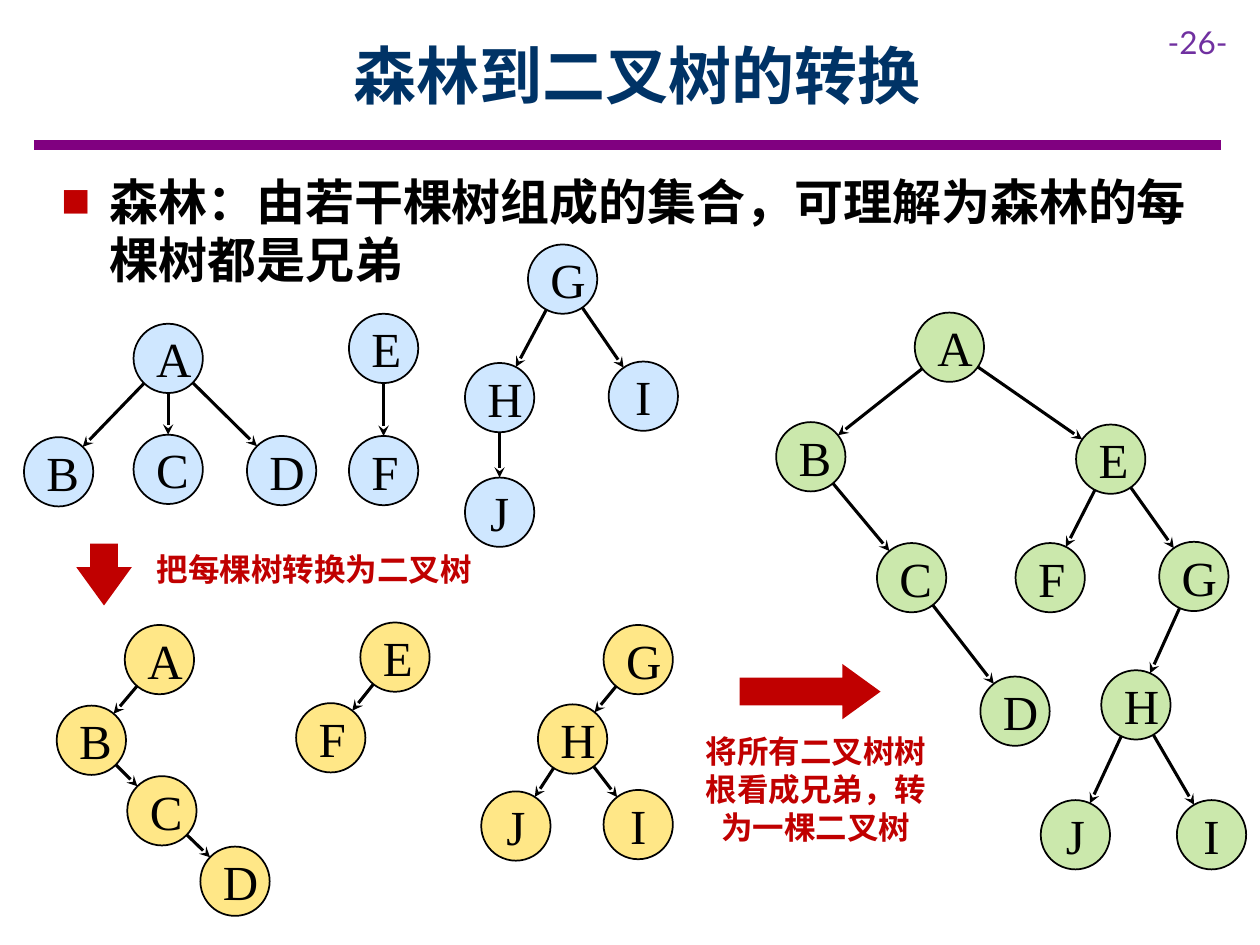
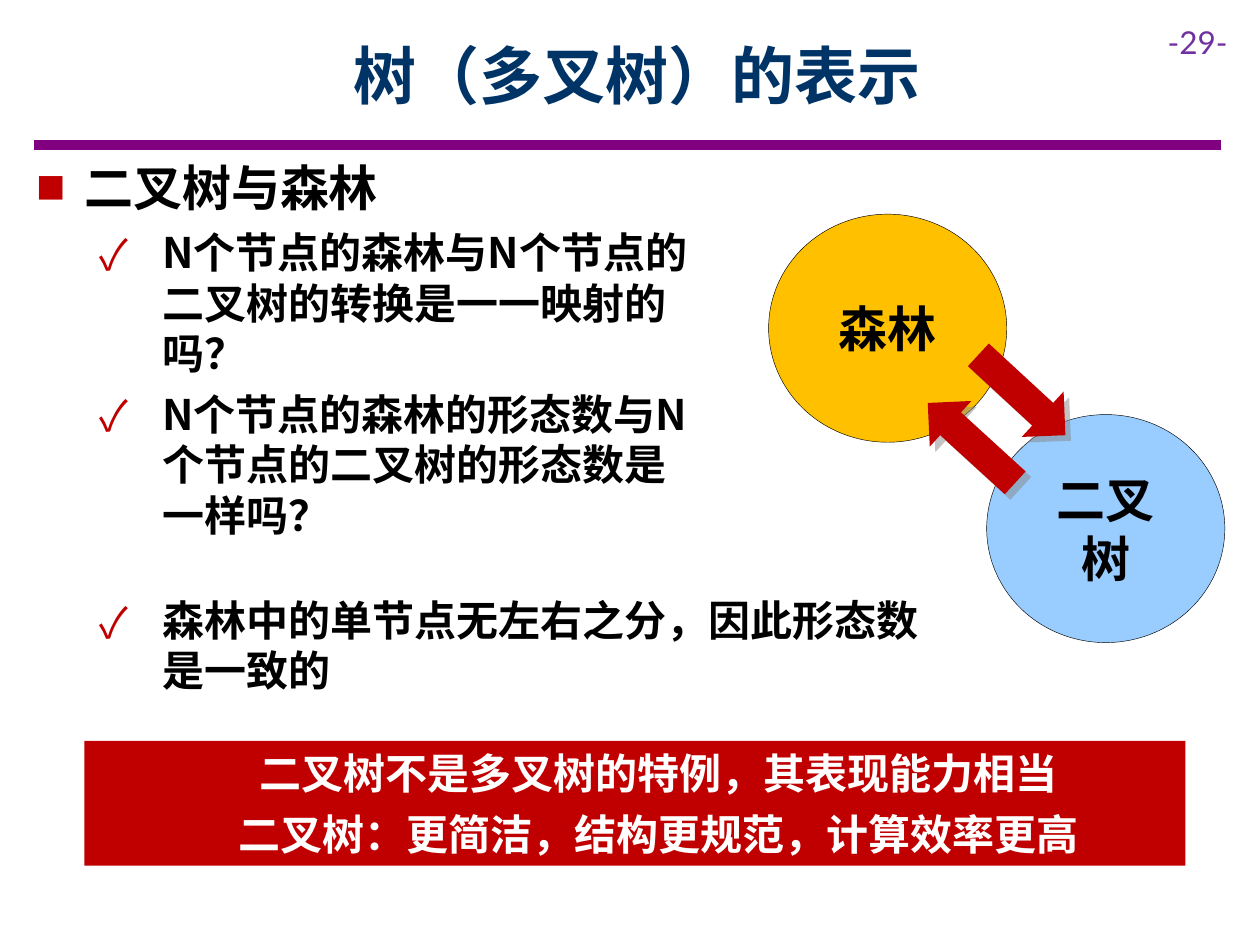
import math

import pptx
import pptx.dml.color
import pptx.enum.shapes
import pptx.enum.text
import pptx.oxml
import pptx.oxml.ns
import pptx.util
from lxml import etree

Pt = pptx.util.Pt
qn = pptx.oxml.ns.qn
SHAPE = pptx.enum.shapes.MSO_SHAPE
ALIGN = pptx.enum.text.PP_ALIGN
ANCHOR = pptx.enum.text.MSO_ANCHOR

COLORS = {
    "title": "003366", "rule": "800080", "number": "7030A0", "accent": "C00000",
    "text": "000000", "light": "FFFFFF", "blue": "99CCFF", "yellow": "FFCC00",
    "green": "92D050", "gold": "FFC000", "shadow": "888888",
}
CJK, LATIN, NODE_FONT = "Noto Sans CJK SC", "Lato", "Times New Roman"
NODE = 39.6
BULLETS = [("■", 27.4, -27.4, 60), ("✓", 72, -36, 100)]

FOREST = {
    "A": (62.6, 45.3), "B": (0, 110.1), "C": (62.6, 108.7), "D": (127.4, 109.4),
    "E": (185.7, 39.6), "F": (185.7, 109.4),
    "G": (288, 0), "H": (252, 67.7), "I": (334.1, 66.9), "J": (252, 133.2),
}
BINARY_TREES = {
    "A": (38.9, 1.4), "B": (0, 47.5), "C": (40.3, 87.8), "D": (82.1, 128.1),
    "E": (173.5, 0), "F": (136.8, 46.1),
    "G": (312.5, 1.4), "H": (275, 46.8), "I": (312.5, 95.7), "J": (242.6, 96.5),
}
JOINED_TREE = {
    "A": (79.2, 0), "B": (0, 62.6), "C": (57.6, 131.7), "D": (116.7, 208),
    "E": (171.4, 64), "F": (136.8, 131.7),
    "G": (218.9, 131), "H": (185.8, 204.4), "I": (229, 278.6), "J": (151.2, 278.6),
}


def rgb(name):
    return pptx.dml.color.RGBColor.from_string(COLORS[name])


def add_xml(parent, tag, **attrs):
    return etree.SubElement(parent, qn(tag), attrs)


def style(p, size, color, font=CJK, bold=False, align=None):
    p.alignment = align
    p.font.size, p.font.bold, p.font.name = Pt(size), bold, font
    p.font.color.rgb = rgb(color)
    add_xml(p._p.pPr.find(qn("a:defRPr")), "a:ea", typeface=font)


def bullet(p, level):
    char, margin, indent, percent = BULLETS[level]
    p.level = level
    pPr = p._p.get_or_add_pPr()
    pPr.set("marL", str(Pt(margin)))
    pPr.set("indent", str(Pt(indent)))
    add_xml(add_xml(pPr, "a:buClr"), "a:srgbClr", val=COLORS["accent"])
    add_xml(pPr, "a:buSzPct", val=str(percent * 1000))
    add_xml(pPr, "a:buFont", typeface=CJK)
    add_xml(pPr, "a:buChar", char=char)


def paragraphs(tf, texts):
    tf.word_wrap = True
    for i, text in enumerate(texts):
        p = tf.paragraphs[0] if i == 0 else tf.add_paragraph()
        p.text = text
        yield p


def text_box(s, box):
    return s.shapes.add_textbox(*map(Pt, box)).text_frame


def outline(s, box, items):
    levels, texts = zip(*items)
    for level, p in zip(levels, paragraphs(text_box(s, box), texts)):
        size = 24 if level else 28
        p.line_spacing, p.space_after = Pt(size * 1.2), Pt(6)
        bullet(p, level)
        style(p, size, "text", bold=True)


def caption(s, box, text):
    for p in paragraphs(text_box(s, box), [text]):
        p.line_spacing = Pt(21.6)
        style(p, 18, "accent", bold=True, align=ALIGN.CENTER)


def shape(shapes, kind, box, fill, line=None):
    sp = shapes.add_shape(kind, *map(Pt, box))
    sp.shadow.inherit = False
    sp.fill.solid()
    sp.fill.fore_color.rgb = rgb(fill)
    if line:
        sp.line.color.rgb = rgb("text")
        sp.line.width = Pt(line)
    else:
        sp.line.fill.background()
    return sp


def ellipse(shapes, box, text, fill, line, font, bold):
    sp = shape(shapes, SHAPE.OVAL, box, fill, line)
    tf = sp.text_frame
    tf.vertical_anchor = ANCHOR.MIDDLE
    tf.margin_left = tf.margin_right = tf.margin_top = tf.margin_bottom = Pt(7.2)
    for p in paragraphs(tf, [text]):
        if bold:
            p.line_spacing = Pt(33.6)
        style(p, 28, "text", font, bold, ALIGN.CENTER)
    return sp


def straight(shapes, start, end, color, width):
    c = shapes.add_connector(pptx.enum.shapes.MSO_CONNECTOR.STRAIGHT,
                             *map(Pt, (*start, *end)))
    c.line.color.rgb = rgb(color)
    c.line.width = Pt(width)
    add_xml(c._element.spPr, "a:effectLst")
    return c


def block_arrow(shapes, box, rotation=0, head=0.5):
    sp = shape(shapes, SHAPE.RIGHT_ARROW, box, "accent")
    sp.rotation = rotation
    sp.adjustments[1] = head
    return sp


def cast_shadow(sp):
    effects = sp._element.spPr.find(qn("a:effectLst"))
    shadow = add_xml(effects, "a:outerShdw", blurRad="0", dist=str(Pt(4.5)),
                     dir=str(45 * 60000), algn="ctr", rotWithShape="0")
    color = add_xml(shadow, "a:srgbClr", val=COLORS["shadow"])
    add_xml(color, "a:alpha", val="50000")


def tree(s, left, top, fill, nodes, edges):
    shapes = s.shapes.add_group_shape().shapes
    radius = NODE / 2
    centers = {k: (left + x + radius, top + y + radius) for k, (x, y) in nodes.items()}
    for parent, child in edges.split():
        (x1, y1), (x2, y2) = centers[parent], centers[child]
        length = math.hypot(x2 - x1, y2 - y1)
        dx, dy = (x2 - x1) / length * radius, (y2 - y1) / length * radius
        c = straight(shapes, (x1 + dx, y1 + dy), (x2 - dx, y2 - dy), "text", 1.75)
        add_xml(c.line._get_or_add_ln(), "a:tailEnd", type="stealth")
    for name, (x, y) in centers.items():
        sp = ellipse(shapes, (x - radius, y - radius, NODE, NODE), name, fill, 1,
                     NODE_FONT, False)
        color = sp._element.spPr.find(qn("a:solidFill"))[0]
        add_xml(color, "a:alpha", val="47000")


def conversion_cycle(s, left, top):
    shapes = s.shapes.add_group_shape().shapes
    for x, y, text, fill in [(124.6, 114.5, "二叉树", "blue"), (0, 0, "森林", "gold")]:
        ellipse(shapes, (left + x, top + y, 136.1, 130.3), text, fill, 0.25, CJK, True)
    for x, y, rotation in [(110.9, 85.7, 42.7), (82.1, 113, 222.4)]:
        cast_shadow(block_arrow(shapes, (left + x, top + y, 67.7, 35.3), rotation))


def conclusion(s, box, lines):
    tf = shape(s.shapes, SHAPE.RECTANGLE, box, "accent").text_frame
    tf.vertical_anchor = ANCHOR.TOP
    for p in paragraphs(tf, lines):
        p.line_spacing, p.space_after = Pt(28.8), Pt(6)
        p._p.get_or_add_pPr().set("marL", str(Pt(27.4)))
        style(p, 24, "light", bold=True, align=ALIGN.CENTER)


def base_slide(prs, title, number):
    s = prs.slides.add_slide(prs.slide_layouts[5])
    straight(s.shapes, (19.4, 82.8), (697.7, 82.8), "rule", 6)
    for p in paragraphs(text_box(s, (660.2, 9.4, 59.8, 28.8)), [f"-{number}-"]):
        style(p, 18, "number", LATIN)
    sp = s.shapes.title
    sp.left, sp.top, sp.width, sp.height = map(Pt, (64.8, 6.5, 598.3, 72))
    sp.text_frame.vertical_anchor = ANCHOR.MIDDLE
    for p in paragraphs(sp.text_frame, [title]):
        style(p, 36, "title", bold=True, align=ALIGN.CENTER)
    return s


def forest_slide(prs):
    s = base_slide(prs, "森林到二叉树的转换", 26)
    outline(s, (28.1, 94.3, 671.8, 74.9),
            [(0, "森林：由若干棵树组成的集合，可理解为森林的每棵树都是兄弟")])
    tree(s, 13.7, 139.7, "blue", FOREST, "AB AC AD EF GH GI HJ")
    block_arrow(s.shapes, (41.8, 312.5, 35.3, 31.7), 90, 0.69)
    caption(s, (73.4, 311, 212.4, 28.8), "把每棵树转换为二叉树")
    tree(s, 32.4, 355.7, "yellow", BINARY_TREES, "AB BC CD EF GH HJ HI")
    block_arrow(s.shapes, (422.6, 379.4, 80.6, 31.7), head=0.69)
    caption(s, (389.5, 414.7, 153.4, 72.7), "将所有二叉树树根看成兄弟，转为一棵二叉树")
    tree(s, 443.5, 178.6, "green", JOINED_TREE, "AB AE BC CD EF EG GH HJ HI")


def representation_slide(prs):
    s = base_slide(prs, "树（多叉树）的表示", 29)
    outline(s, (13.7, 86.4, 397.4, 227.5), [
        (0, "二叉树与森林"),
        (1, "N个节点的森林与N个节点的二叉树的转换是一一映射的吗？"),
        (1, "N个节点的森林的形态数与N个节点的二叉树的形态数是一样吗？"),
    ])
    conclusion(s, (48.2, 423.4, 629.3, 71.3), [
        "二叉树不是多叉树的特例，其表现能力相当",
        "二叉树：更简洁，结构更规范，计算效率更高",
    ])
    outline(s, (13.7, 336.2, 533.5, 65.5),
            [(1, "森林中的单节点无左右之分，因此形态数是一致的")])
    conversion_cycle(s, 439.2, 122.4)


def main():
    prs = pptx.Presentation()
    prs.slide_width, prs.slide_height = Pt(720), Pt(540)
    forest_slide(prs)
    representation_slide(prs)
    prs.save("out.pptx")


if __name__ == "__main__":
    main()
